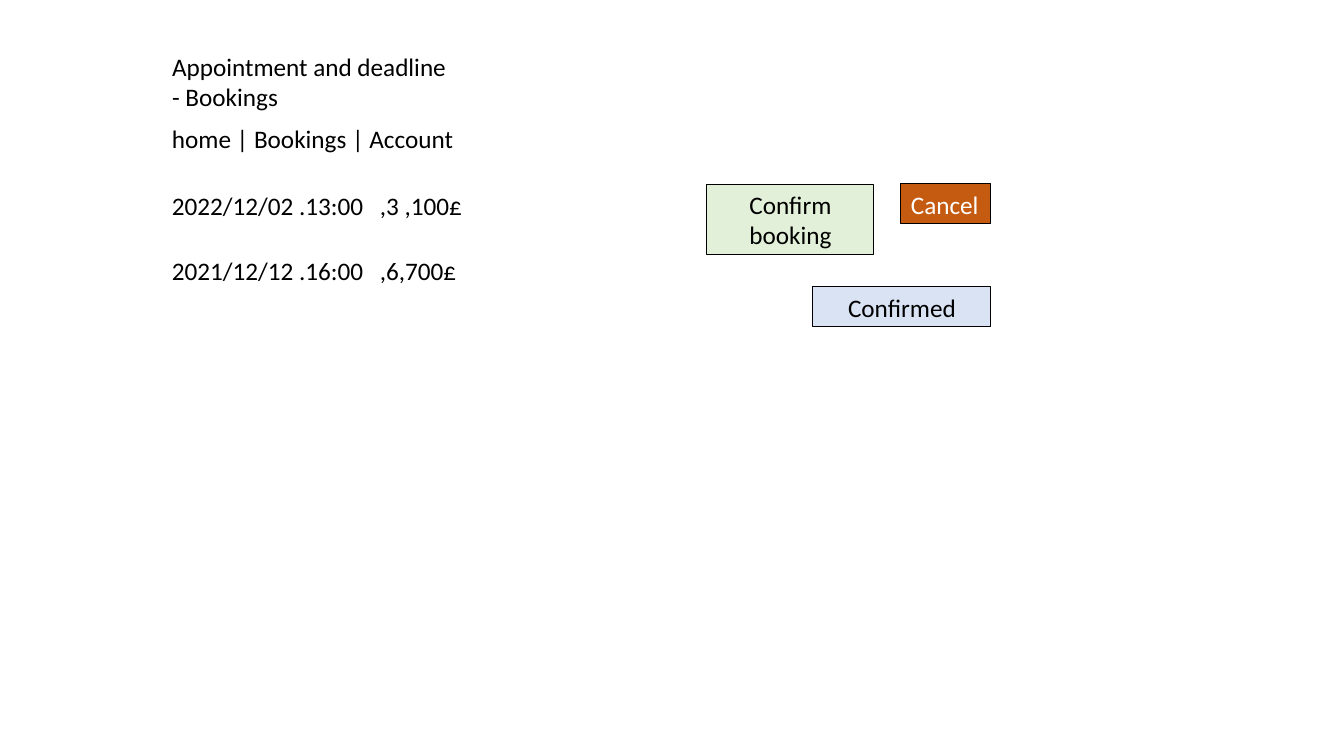
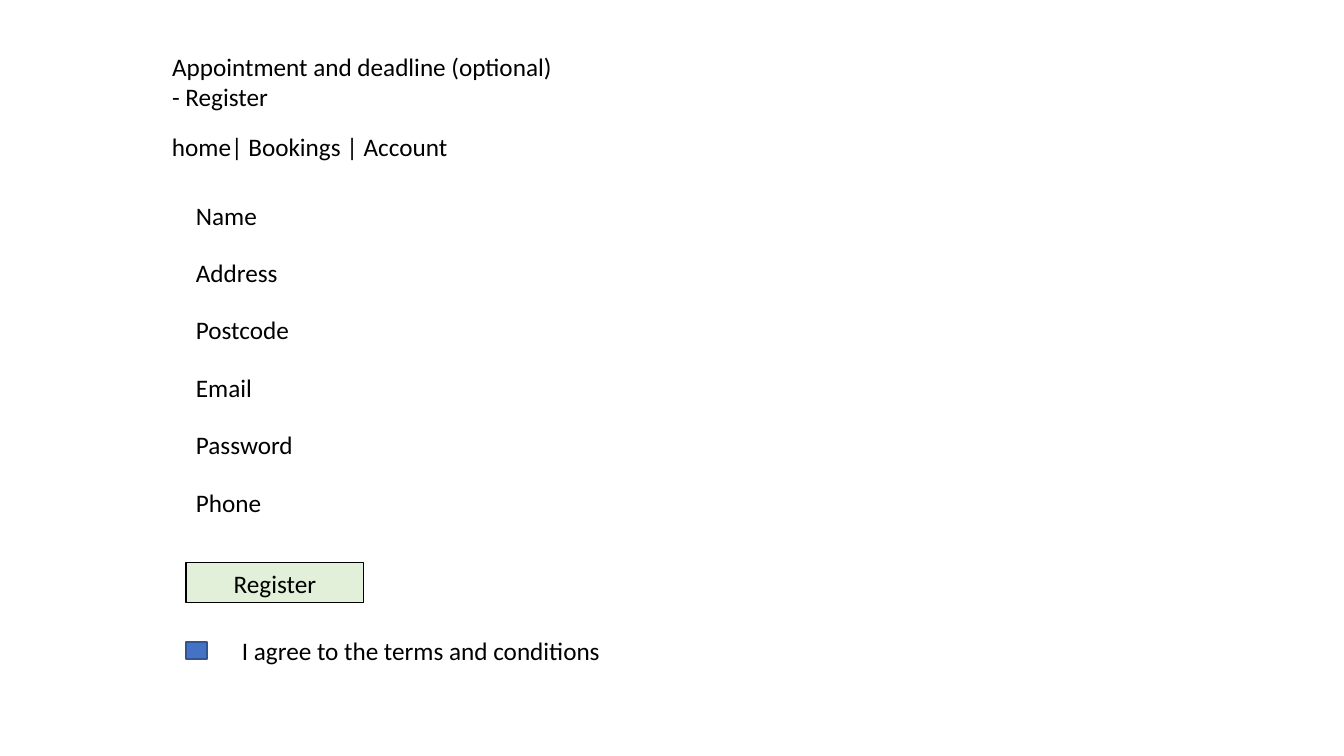
"""Builds two wireframe slides of a booking site."""
from lxml import etree
from pptx import Presentation
from pptx.dml.color import RGBColor
from pptx.enum import shapes, text
from pptx.oxml import ns
from pptx.util import Emu, Pt

SCALE = 914400 / 100.8
BLACK, WHITE = "000000", "FFFFFF"
GREEN, ORANGE, PALE, BLUE, NAVY = "E2F0D9", "C55A11", "DAE3F3", "4472C4", "325491"
LEFT, INDENT = 162, 186
LINE, BUTTON = 40, 178
ALIGN = text.PP_ALIGN


def px(n):
    return Emu(round(n * SCALE))


def rgb(code):
    return RGBColor.from_string(code)


class Deck:
    def __init__(self):
        self.file = Presentation()
        self.file.slide_width, self.file.slide_height = px(1344), px(756)
        self.slide = None

    def style(self, frame, words, color=BLACK, align=ALIGN.LEFT):
        frame.text = words
        frame.word_wrap = True
        frame.auto_size = text.MSO_AUTO_SIZE.NONE
        for para in frame.paragraphs:
            para.alignment = align
            para.font.name, para.font.size = "Calibri", Pt(18)
            para.font.color.rgb = rgb(color)

    def page(self, title, width, menu, top):
        self.slide = self.file.slides.add_slide(self.file.slide_layouts[5])
        head = self.slide.shapes.title
        head.left, head.top, head.width, head.height = map(px, (LEFT, 46, width, 72))
        self.style(head.text_frame, title)
        head.text_frame.vertical_anchor = text.MSO_ANCHOR.TOP
        self.label(menu, LEFT, top, 330)

    def label(self, words, x, y, w, stop=None):
        box = self.slide.shapes.add_textbox(px(x), px(y), px(w), px(LINE))
        self.style(box.text_frame, words)
        if stop:
            props = box.text_frame.paragraphs[0]._p.get_or_add_pPr()
            tabs = etree.Element(ns.qn("a:tabLst"))
            etree.SubElement(tabs, ns.qn("a:tab"), pos=str(px(stop)), algn="l")
            props.insert(0, tabs)

    def box(self, x, y, w, h, fill, edge=BLACK, weight=0.75):
        rect = self.slide.shapes.add_shape(
            shapes.MSO_SHAPE.RECTANGLE, px(x), px(y), px(w), px(h))
        rect.shadow.inherit = False
        rect.fill.solid()
        rect.fill.fore_color.rgb = rgb(fill)
        rect.line.color.rgb, rect.line.width = rgb(edge), Pt(weight)
        return rect

    def button(self, words, x, y, w, fill, h=LINE, color=BLACK, align=ALIGN.CENTER):
        rect = self.box(x, y, w, h, fill)
        self.style(rect.text_frame, words, color, align)


deck = Deck()

deck.page("Appointment and deadline\n- Bookings ", 510, "home | Bookings | Account", 118)
for y, entry in ((185, "2022/12/02 .13:00\t,3 ,100£"), (250, "2021/12/12 .16:00\t,6,700£")):
    deck.label(entry, LEFT, y, 524, stop=208)
deck.button("Confirm booking", 707, 184, 167, GREEN, h=71)
deck.button("Cancel", 901, 184, 90, ORANGE, color=WHITE, align=ALIGN.LEFT)
deck.button("Confirmed", 813, 287, BUTTON, PALE)

deck.page("Appointment and deadline (optional)\n- Register ", 463,
          "home| Bookings | Account", 126)
fields = "Name", "Address", "Postcode", "Email", "Password", "Phone"
for row, field in enumerate(fields):
    deck.label(field, INDENT, 195 + 57.4 * row, 137)
deck.button("Register", INDENT, 563, BUTTON, GREEN)
deck.box(INDENT, 642, 21, 17, BLUE, NAVY, 1)
deck.label("I agree to the terms and conditions", 232, 630, 383)

deck.file.save("out.pptx")
